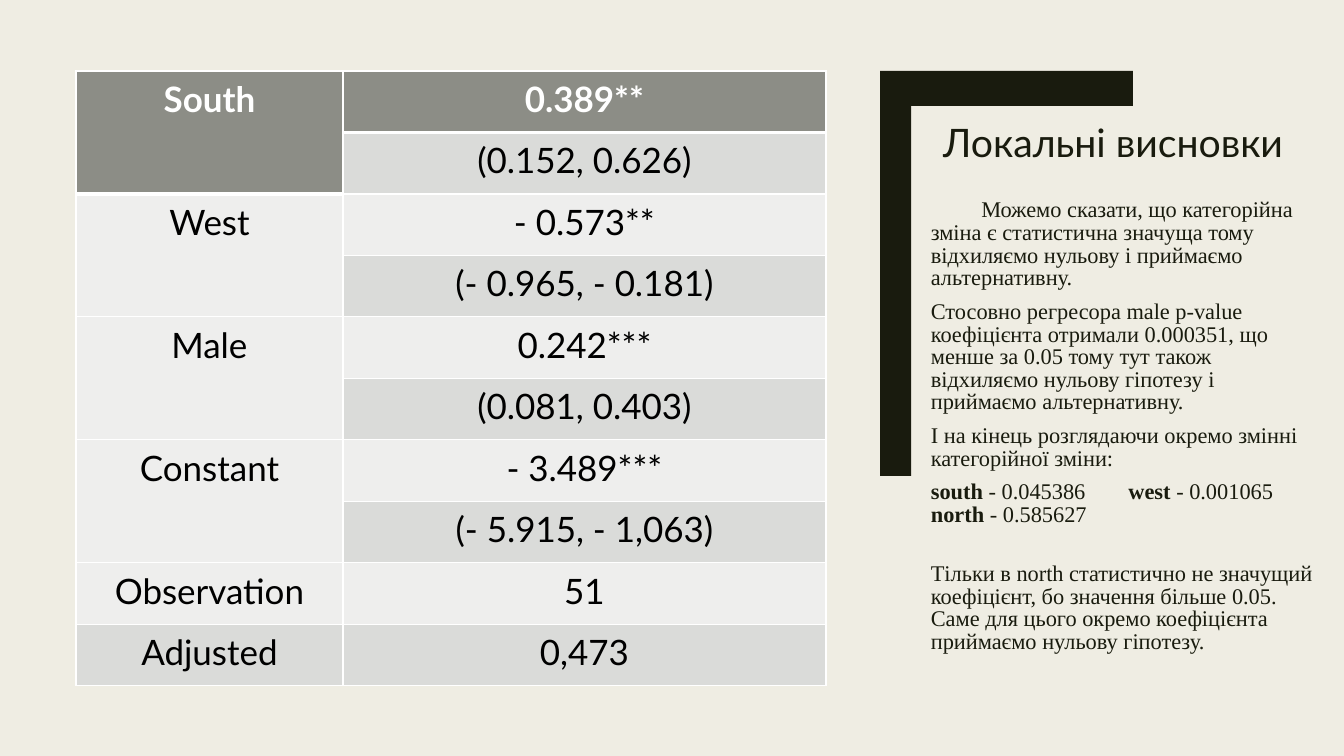
from lxml.etree import SubElement
from pptx import Presentation
from pptx.dml.color import RGBColor
from pptx.enum.text import MSO_ANCHOR as Anchor, PP_ALIGN as Align
from pptx.oxml.ns import qn
from pptx.util import Emu, Pt

PX = 914400 / 100.8
INK, PAPER, WHITE, BLACK = "191B0E", "EFEDE3", "FFFFFF", "000000"
HEADING, LIGHT, DARK = "8C8D86", "EEEEED", "DADBD9"

COEFFICIENTS = [
    ("South", "0.389**", "(0.152, 0.626)"),
    ("West", "- 0.573**", "(- 0.965, - 0.181)"),
    ("Male", "0.242***", "(0.081, 0.403)"),
    ("Constant", "- 3.489***", "(- 5.915, - 1,063)"),
    ("Observation", "51"),
    ("Adjusted", "0,473"),
]

CONCLUSIONS = [
    (["\tМожемо сказати, що категорійна зміна є статистична значуща тому "
      "відхиляємо нульову і приймаємо альтернативну."], {"space_after": Pt(8)}),
    (["Стосовно регресора male p-value коефіцієнта отримали 0.000351, що менше за 0.05 "
      "тому тут також відхиляємо нульову гіпотезу і приймаємо альтернативну."],
     {"space_after": Pt(8)}),
    (["І на кінець розглядаючи окремо змінні категорійної зміни:"], {"space_after": Pt(8)}),
    (["south ", "- 0.045386 \t ", "west ", "- 0.001065 \t", "north ", "- 0.585627"], {}),
    (["Тільки в north статистично не значущий коефіцієнт, бо значення більше 0.05. "
      "Саме для цього окремо коефіцієнта приймаємо нульову гіпотезу."],
     {"space_before": Pt(26), "space_after": Pt(2)}),
]


def px(length):
    return Emu(round(length * PX))


def color(value):
    return RGBColor.from_string(value)


def apply(target, values):
    for name, value in values.items():
        setattr(target, name, value)


class SlideBuilder:
    """Holds the style and the current slide, and draws each kind of element."""

    heading_font, body_font = "Lato", "Times New Roman"

    def __init__(self, presentation):
        self.slide = presentation.slides.add_slide(presentation.slide_layouts[5])
        fill = self.slide.background.fill
        fill.solid()
        fill.fore_color.rgb = color(PAPER)

    def add_text_run(self, paragraph, text, font, size, ink, bold=False):
        run = paragraph.add_run()
        run.text = text
        apply(run.font, {"name": font, "size": Pt(size), "bold": bold})
        run.font.color.rgb = color(ink)

    def title(self, text, left, top, width, height):
        shape = self.slide.shapes.title
        apply(shape, {"left": px(left), "top": px(top),
                      "width": px(width), "height": px(height)})
        apply(shape.text_frame, {"vertical_anchor": Anchor.BOTTOM, "word_wrap": True})
        paragraph = shape.text_frame.paragraphs[0]
        apply(paragraph, {"alignment": Align.LEFT, "line_spacing": 0.89})
        self.add_text_run(paragraph, text, self.heading_font, 28, INK)

    def text(self, paragraphs, left, top, width, height):
        shape = self.slide.shapes.add_textbox(px(left), px(top), px(width), px(height))
        frame = shape.text_frame
        frame.word_wrap = True
        for index, (runs, values) in enumerate(paragraphs):
            paragraph = frame.add_paragraph() if index else frame.paragraphs[0]
            apply(paragraph, {"line_spacing": 0.84, **values})
            if len(runs) > 1:
                self.tabs(paragraph, 64, 8)
            for position, text in enumerate(runs):
                bold = len(runs) > 1 and position % 2 == 0
                self.add_text_run(paragraph, text, self.body_font, 16, INK, bold)

    def tabs(self, paragraph, step, count):
        properties = paragraph._p.get_or_add_pPr()
        tab_list = SubElement(properties, qn("a:tabLst"))
        for number in range(1, count + 1):
            SubElement(tab_list, qn("a:tab"), pos=str(px(step * number)), algn="l")

    def outline(self, points, fill):
        start, *rest = [(px(x), px(y)) for x, y in points]
        builder = self.slide.shapes.build_freeform(*start)
        builder.add_line_segments(rest, close=True)
        shape = builder.convert_to_shape()
        shape.shadow.inherit = False
        shape.fill.solid()
        shape.fill.fore_color.rgb = color(fill)
        shape.line.fill.background()

    def table(self, groups, left, top, widths, height):
        count = sum(len(values) for _, *values in groups)
        frame = self.slide.shapes.add_table(
            count, 2, px(left), px(top), px(sum(widths)), px(height))
        table = frame.table
        for column, width in zip(table.columns, widths):
            column.width = px(width)
        row = 0
        for label, *values in groups:
            last = row + len(values) - 1
            for offset, value in enumerate(values):
                line = row + offset
                fill = HEADING if line == 0 else DARK if line % 2 else LIGHT
                self.cell(table.cell(line, 1), value, fill, line == 0)
                label_fill = HEADING if row == 0 else DARK if row % 2 else LIGHT
                self.cell(table.cell(line, 0), "" if offset else label, label_fill, row == 0)
            if last > row:
                table.cell(row, 0).merge(table.cell(last, 0))
            row = last + 1

    def cell(self, cell, text, fill, heading):
        apply(cell, {"margin_left": px(14), "margin_right": px(14),
                     "margin_top": px(7), "margin_bottom": px(7)})
        properties = cell._tc.get_or_add_tcPr()
        for side in "LRTB":
            width = Pt(3 if heading and side == "B" else 1)
            border = SubElement(properties, qn(f"a:ln{side}"), w=str(width))
            solid = SubElement(border, qn("a:solidFill"))
            SubElement(solid, qn("a:srgbClr"), val=WHITE)
        cell.fill.solid()
        cell.fill.fore_color.rgb = color(fill)
        if text:
            paragraph = cell.text_frame.paragraphs[0]
            paragraph.alignment = Align.CENTER
            self.add_text_run(paragraph, text, self.heading_font, 25,
                              WHITE if heading else BLACK, heading)


def main():
    presentation = Presentation()
    apply(presentation, {"slide_width": px(1344), "slide_height": px(756)})
    builder = SlideBuilder(presentation)
    builder.title("Локальні висновки", 933, 113, 378, 58)
    builder.text(CONCLUSIONS, 921, 195, 402, 491)
    builder.outline([(911, 476), (880, 476), (880, 71), (1133, 71), (1133, 106), (911, 106)], INK)
    builder.table(COEFFICIENTS, 76, 71, [267, 483], 615)
    presentation.save("out.pptx")


if __name__ == "__main__":
    main()
